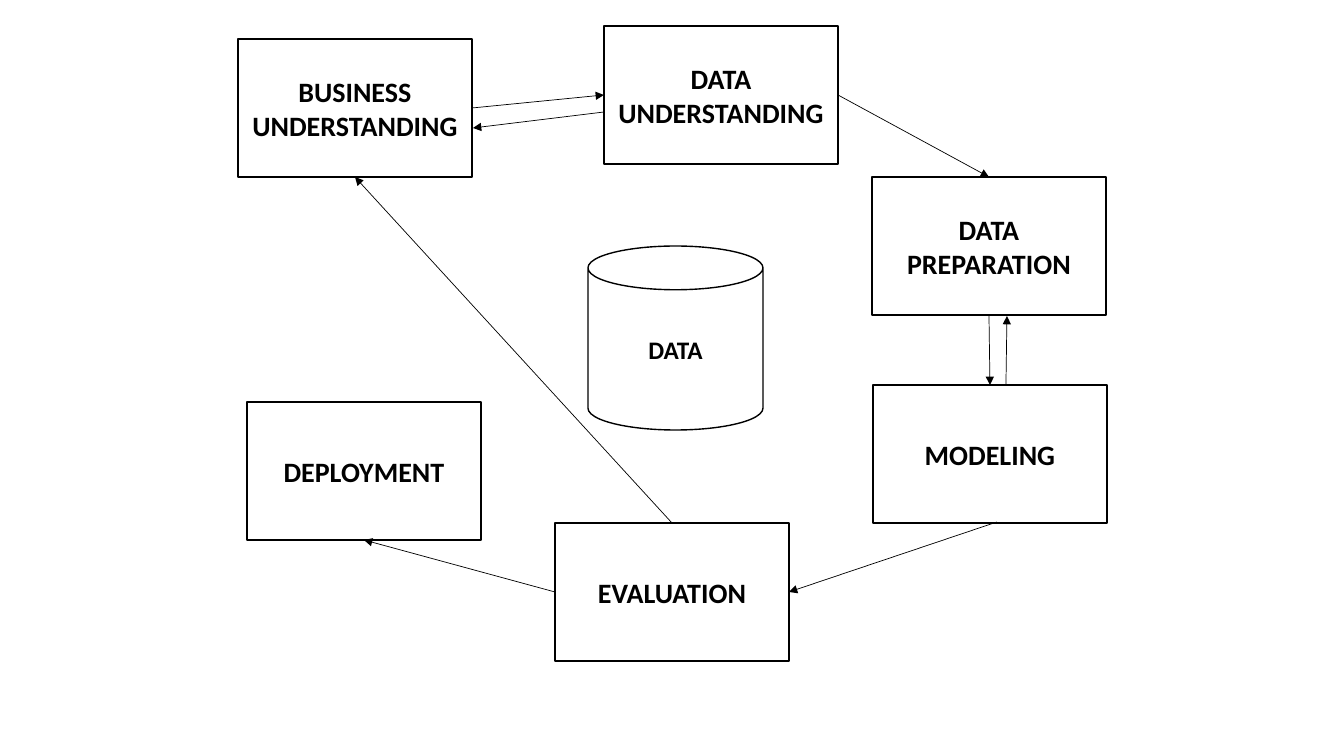
"""Build a slide of the data mining process cycle around a central data store."""
from lxml import etree
from pptx import Presentation
from pptx.dml.color import RGBColor
from pptx.enum.shapes import MSO_CONNECTOR, MSO_SHAPE
from pptx.enum.text import MSO_ANCHOR, PP_ALIGN
from pptx.oxml.ns import qn
from pptx.util import Emu, Pt

RECTANGLE, CAN = MSO_SHAPE.RECTANGLE, MSO_SHAPE.CAN
STRAIGHT = MSO_CONNECTOR.STRAIGHT
MIDDLE, CENTER = MSO_ANCHOR.MIDDLE, PP_ALIGN.CENTER
TOP, LEFT, BOTTOM, RIGHT = range(4)

SLIDE_SIZE = (1344, 756)
BOX_SIZE = (234, 138)
FONT, BLACK, WHITE = "Calibri", "000000", "FFFFFF"

STEPS = {
    "BUSINESS UNDERSTANDING": (238, 39),
    "DATA UNDERSTANDING": (604, 26),
    "DATA PREPARATION": (872, 177),
    "MODELING": (873, 385),
    "EVALUATION": (555, 523),
    "DEPLOYMENT": (247, 402),
}
STORE = ("DATA", (588, 246), (175, 184))

JOINED_ARROWS = [
    ("BUSINESS UNDERSTANDING", RIGHT, "DATA UNDERSTANDING", LEFT),
    ("DATA UNDERSTANDING", RIGHT, "DATA PREPARATION", TOP),
    ("DATA PREPARATION", BOTTOM, "MODELING", TOP),
    ("EVALUATION", LEFT, "DEPLOYMENT", BOTTOM),
    ("EVALUATION", TOP, "BUSINESS UNDERSTANDING", BOTTOM),
]
RETURN_ARROWS = [
    ((604, 112), (473, 128)),
    ((1006, 384), (1007, 316)),
]
EVALUATION_START = (997, 522)


def px(length):
    return Emu(round(length * 914400 / 100.8))


def color(value):
    return RGBColor.from_string(value)


def add_node(slide, kind, text, position, size, font_size):
    shape = slide.shapes.add_shape(kind, *map(px, position + size))
    shape.shadow.inherit = False
    shape.fill.solid()
    shape.fill.fore_color.rgb = color(WHITE)
    shape.line.color.rgb = color(BLACK)
    shape.line.width = Pt(1)
    frame = shape.text_frame
    frame.word_wrap = True
    frame.vertical_anchor = MIDDLE
    paragraph = frame.paragraphs[0]
    paragraph.text = text
    paragraph.alignment = CENTER
    paragraph.font.name = FONT
    paragraph.font.size = Pt(font_size)
    paragraph.font.bold = True
    paragraph.font.color.rgb = color(BLACK)
    return shape


def add_arrow(slide, start=(0, 0), end=(0, 0)):
    connector = slide.shapes.add_connector(STRAIGHT, *map(px, start + end))
    connector.line.color.rgb = color(BLACK)
    connector.line.width = Pt(0.5)
    properties = connector.element.spPr
    etree.SubElement(properties.find(qn("a:ln")), qn("a:tailEnd"), type="triangle")
    etree.SubElement(properties, qn("a:effectLst"))
    return connector


def main():
    presentation = Presentation()
    presentation.slide_width, presentation.slide_height = map(px, SLIDE_SIZE)
    slide = presentation.slides.add_slide(presentation.slide_layouts[6])

    boxes = {
        name: add_node(slide, RECTANGLE, name, position, BOX_SIZE, 20)
        for name, position in STEPS.items()
    }
    add_node(slide, CAN, *STORE, 18)

    for source, source_side, target, target_side in JOINED_ARROWS:
        arrow = add_arrow(slide)
        arrow.begin_connect(boxes[source], source_side)
        arrow.end_connect(boxes[target], target_side)
    for start, end in RETURN_ARROWS:
        add_arrow(slide, start, end)
    evaluation_arrow = add_arrow(slide, EVALUATION_START)
    evaluation_arrow.end_connect(boxes["EVALUATION"], RIGHT)

    presentation.save("out.pptx")


if __name__ == "__main__":
    main()
